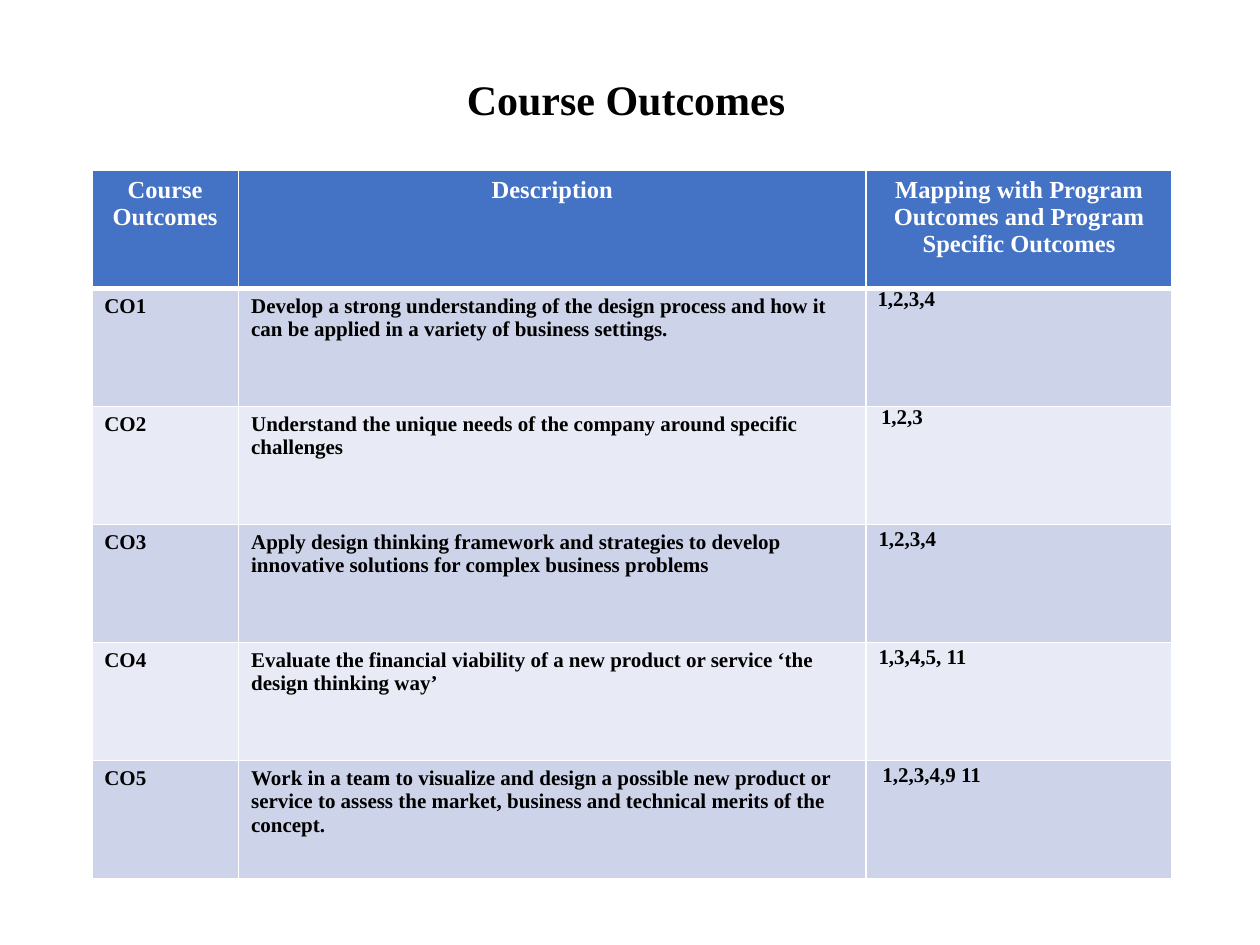
from lxml import etree
from pptx import Presentation
from pptx.dml.color import RGBColor
from pptx.enum import text
from pptx.oxml import ns
from pptx.util import Cm, Pt

FONT = "Times New Roman"
COLORS = {
    "ink": "000000",
    "white": "FFFFFF",
    "header": "4472C4",
    "odd": "CDD4EA",
    "even": "E8EBF5",
}
COLUMN_WIDTHS = [2.96, 12.65, 6.17]
ROW_HEIGHT = 2.38
HEADINGS = [
    "Course Outcomes",
    "Description",
    "Mapping with Program Outcomes and Program Specific Outcomes",
]
# description, mapping, left margin, first-line indent, line spacing
OUTCOMES = [
    ("Develop a strong understanding of the design process and how it can be "
     "applied in a variety of business settings.", "1,2,3,4", 0.71, -0.48, 1),
    ("Understand the unique needs of the company around specific challenges",
     "1,2,3", 0.3, 0, 1),
    ("Apply design thinking framework and strategies to develop innovative "
     "solutions for complex business problems", "1,2,3,4", 0.91, -0.66, 1.15),
    ("Evaluate the financial viability of a new product or service ‘the design "
     "thinking way’", "1,3,4,5, 11", 0.91, -0.66, 1.15),
    ("Work in a team to visualize and design a possible new product or service "
     "to assess the market, business and technical merits of the concept.",
     "1,2,3,4,9 11", 0.91, -0.58, 1.15),
]


def rgb(name):
    return RGBColor.from_string(COLORS[name])


def write(frame, words, size, color, align=text.PP_ALIGN.LEFT):
    frame.text = words
    paragraph = frame.paragraphs[0]
    paragraph.alignment = align
    font = paragraph.runs[0].font
    font.name, font.size, font.bold = FONT, Pt(size), True
    font.color.rgb = rgb(color)
    return paragraph


def add_borders(cell, bottom):
    properties = cell._tc.get_or_add_tcPr()
    widths = {"lnL": 1, "lnR": 1, "lnT": 1, "lnB": bottom}
    for position, (side, width) in enumerate(widths.items()):
        border = etree.Element(ns.qn(f"a:{side}"), w=str(Pt(width)))
        fill = etree.SubElement(border, ns.qn("a:solidFill"))
        etree.SubElement(fill, ns.qn("a:srgbClr"), val=COLORS["white"])
        properties.insert(position, border)


def fill_cell(cell, words, size, color, fill, align=text.PP_ALIGN.LEFT, bottom=1):
    cell.fill.solid()
    cell.fill.fore_color.rgb = rgb(fill)
    add_borders(cell, bottom)
    return write(cell.text_frame, words, size, color, align)


def fill_mapping(cell, words, fill, margin, indent, spacing):
    cell.margin_left = cell.margin_right = cell.margin_top = cell.margin_bottom = 0
    paragraph = fill_cell(cell, words, 12, "ink", fill)
    paragraph.line_spacing = spacing
    properties = paragraph._p.get_or_add_pPr()
    properties.set("marL", str(Cm(margin)))
    properties.set("indent", str(Cm(indent)))


def add_title(slide):
    title = slide.shapes.title
    title.left, title.top, title.width, title.height = (
        Cm(2.18), Cm(1.35), Cm(20.88), Cm(1.42))
    frame = title.text_frame
    frame.vertical_anchor = text.MSO_ANCHOR.MIDDLE
    frame.margin_left = frame.margin_right = Cm(0.18)
    frame.margin_top = frame.margin_bottom = Cm(0.1)
    heading = write(frame, "Course Outcomes", 24, "ink", text.PP_ALIGN.CENTER)
    heading.line_spacing = 0.9


def add_outcomes_table(slide):
    row_count = len(OUTCOMES) + 1
    table = slide.shapes.add_table(
        row_count, len(HEADINGS), Cm(1.85), Cm(3.43),
        Cm(sum(COLUMN_WIDTHS)), Cm(ROW_HEIGHT * row_count)).table
    for column, width in zip(table.columns, COLUMN_WIDTHS):
        column.width = Cm(width)
    for row in table.rows:
        row.height = Cm(ROW_HEIGHT)
    for column, heading in enumerate(HEADINGS):
        fill_cell(table.cell(0, column), heading, 14, "white", "header",
                  text.PP_ALIGN.CENTER, bottom=3)
    for number, (description, mapping, *layout) in enumerate(OUTCOMES, 1):
        band = "odd" if number % 2 else "even"
        fill_cell(table.cell(number, 0), f"CO{number}", 12, "ink", band)
        fill_cell(table.cell(number, 1), description, 12, "ink", band)
        fill_mapping(table.cell(number, 2), mapping, band, *layout)


def main():
    deck = Presentation()
    deck.slide_width, deck.slide_height = Cm(25.4), Cm(19.05)
    slide = deck.slides.add_slide(deck.slide_layouts[5])
    add_title(slide)
    add_outcomes_table(slide)
    deck.save("out.pptx")


if __name__ == "__main__":
    main()
